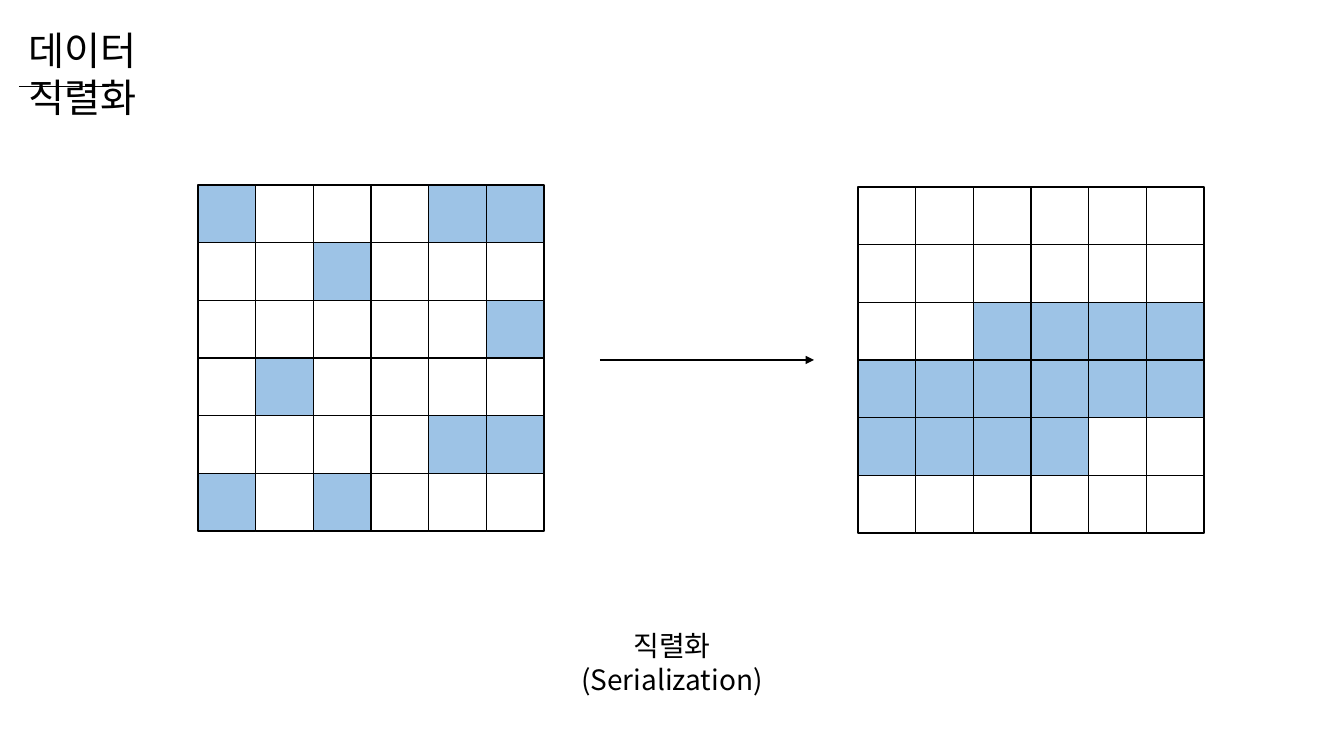
from pptx import Presentation
from pptx.dml.color import RGBColor
from pptx.enum.shapes import MSO_CONNECTOR, MSO_SHAPE
from pptx.enum.text import PP_ALIGN
from pptx.oxml.ns import qn
from pptx.util import Pt
from lxml.etree import SubElement

PX = 914400 / 100.8
FONT = "Noto Sans CJK KR"
BLACK, WHITE, BLUE = "000000", "FFFFFF", "9DC3E6"


def px(n):
    return round(n * PX)


def rgb(color):
    return RGBColor.from_string(color)


prs = Presentation()
prs.slide_width, prs.slide_height = px(1344), px(756)
s = prs.slides.add_slide(prs.slide_layouts[6])

# Memory grids: scattered data on the left, serialized on the right
GRID, CELLS = 346, 6
cell = GRID / CELLS
grids = [
    (198, 185, ["#...##", "..#...", ".....#", ".#....", "....##", "#.#..."]),
    (858, 187, ["......", "......", "..####", "######", "####..", "......"]),
]
for left, top, rows in grids:
    group = s.shapes.add_group_shape()
    for i, row in enumerate(rows):
        for j, mark in enumerate(row):
            sp = group.shapes.add_shape(
                MSO_SHAPE.RECTANGLE, px(left + j * cell), px(top + i * cell),
                px(cell), px(cell))
            sp.shadow.inherit = False
            sp.fill.solid()
            sp.fill.fore_color.rgb = rgb(BLUE if mark == "#" else WHITE)
            sp.line.color.rgb = rgb(BLACK)
            sp.line.width = Pt(1)

# Title and caption
texts = [
    ("데이터 직렬화", 19, 21, 235, 57, 28, PP_ALIGN.LEFT),
    ("직렬화 (Serialization)", 536, 624, 272, 44, 20, PP_ALIGN.CENTER),
]
for text, left, top, width, height, size, align in texts:
    tf = s.shapes.add_textbox(px(left), px(top), px(width), px(height)).text_frame
    tf.word_wrap = True
    tf.text = text
    p = tf.paragraphs[0]
    p.alignment = align
    r = p.runs[0]
    r.font.size = Pt(size)
    r.font.name = FONT
    r.font.color.rgb = rgb(BLACK)
    SubElement(r.font._element, qn("a:ea"), typeface=FONT)

# Arrow between the grids and rule under the title
lines = [(600, 814, 360, 1, True), (19, 109, 86, 0.5, False)]
for x1, x2, y, weight, arrow in lines:
    c = s.shapes.add_connector(MSO_CONNECTOR.STRAIGHT, px(x1), px(y), px(x2), px(y))
    c.line.color.rgb = rgb(BLACK)
    c.line.width = Pt(weight)
    if arrow:
        SubElement(c.line._get_or_add_ln(), qn("a:tailEnd"), type="triangle")
    SubElement(c._element.spPr, qn("a:effectLst"))

prs.save("out.pptx")
